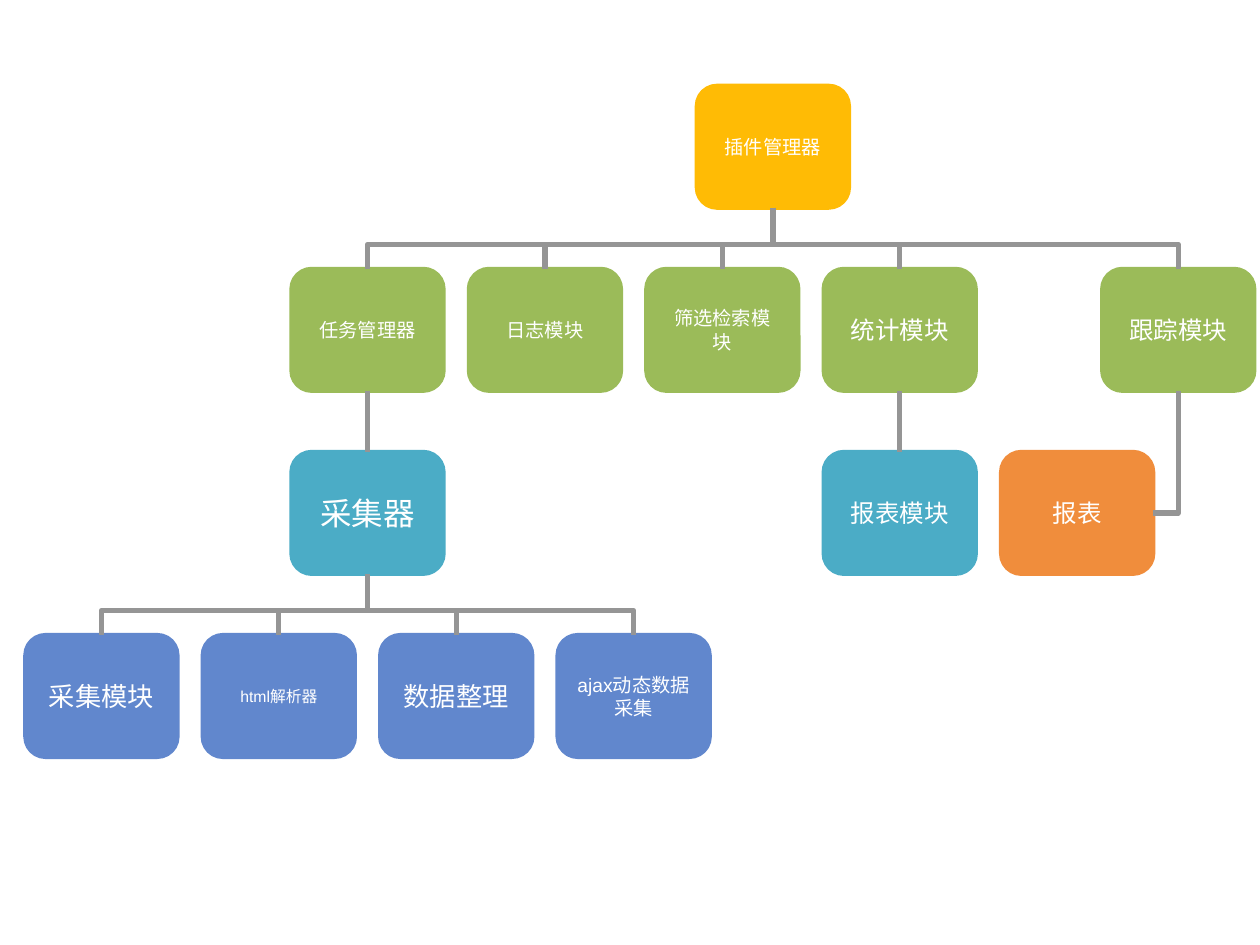
from lxml.etree import SubElement
from pptx import Presentation
from pptx.dml.color import RGBColor
from pptx.enum.shapes import MSO_CONNECTOR, MSO_SHAPE
from pptx.enum.text import MSO_ANCHOR, PP_ALIGN
from pptx.oxml.ns import qn
from pptx.util import Inches, Pt

LEFT, TOP = 0.2, 0.68
COLUMN, ROW = 1.408, 1.453
BOX_WIDTH, BOX_HEIGHT = 1.21, 0.97
GAP = ROW - BOX_HEIGHT
YELLOW, GREEN, TEAL, BLUE, ORANGE = "FFBB05", "9BBB59", "4BACC6", "6187CD", "F08D3C"
GREY, WHITE = "959595", "FFFFFF"


def paint(color_format, color):
    color_format.rgb = RGBColor.from_string(color)


def connect(kind, start, end):
    """Draw a plain grey connector between two points in inches."""
    connector = slide.shapes.add_connector(kind, *(Inches(value) for value in start + end))
    paint(connector.line.color, GREY)
    connector.line.width = Pt(3)
    SubElement(connector._element.spPr, qn("a:effectLst"))
    return connector


presentation = Presentation()
presentation.slide_width, presentation.slide_height = Inches(10), Inches(7.5)
slide = presentation.slides.add_slide(presentation.slide_layouts[6])

# Text, column, row, colour, font size; the root sits midway over its children
last_column = 6.07
modules = [
    ("插件管理器", (1.5 + last_column) / 2, 0, YELLOW, 11),
    ("任务管理器", 1.5, 1, GREEN, 11),
    ("日志模块", 2.5, 1, GREEN, 11),
    ("筛选检索模块", 3.5, 1, GREEN, 11),
    ("统计模块", 4.5, 1, GREEN, 14),
    ("跟踪模块", last_column, 1, GREEN, 14),
    ("采集器", 1.5, 2, TEAL, 18),
    ("报表模块", 4.5, 2, TEAL, 14),
    ("报表", 5.5, 2, ORANGE, 14),
    ("采集模块", 0, 3, BLUE, 15),
    ("html解析器", 1, 3, BLUE, 9),
    ("数据整理", 2, 3, BLUE, 15),
    ("ajax动态数据采集", 3, 3, BLUE, 11),
]
corners = {}
for text, column, row, color, size in modules:
    left, top = LEFT + column * COLUMN, TOP + row * ROW
    corners[text] = left, top
    box = slide.shapes.add_shape(
        MSO_SHAPE.ROUNDED_RECTANGLE,
        Inches(left), Inches(top), Inches(BOX_WIDTH), Inches(BOX_HEIGHT))
    box.adjustments[0] = 0.167
    box.shadow.inherit = False
    box.fill.solid()
    paint(box.fill.fore_color, color)
    paint(box.line.color, color)
    box.line.width = Pt(2.25)
    box.text_frame.word_wrap = True
    box.text_frame.vertical_anchor = MSO_ANCHOR.MIDDLE
    paragraph = box.text_frame.paragraphs[0]
    paragraph.alignment = PP_ALIGN.CENTER
    run = paragraph.add_run()
    run.text = text
    run.font.name = "Arial"
    run.font.size = Pt(size)
    paint(run.font.color, WHITE)

children = {
    "插件管理器": ["任务管理器", "日志模块", "筛选检索模块", "统计模块", "跟踪模块"],
    "任务管理器": ["采集器"],
    "统计模块": ["报表模块"],
    "采集器": ["采集模块", "html解析器", "数据整理", "ajax动态数据采集"],
}
for parent, names in children.items():
    parent_x = corners[parent][0] + BOX_WIDTH / 2
    parent_y = corners[parent][1] + BOX_HEIGHT
    for name in names:
        child_x, child_y = corners[name][0] + BOX_WIDTH / 2, corners[name][1]
        if len(names) == 1:
            connect(MSO_CONNECTOR.STRAIGHT, (parent_x, parent_y), (child_x, child_y))
            continue
        # An elbow runs sideways, so it is laid out lying down and then turned
        side = 1 if child_x > parent_x else -1
        middle_x, middle_y = (parent_x + child_x) / 2, (parent_y + child_y) / 2
        reach = abs(child_x - parent_x) / 2
        elbow = connect(
            MSO_CONNECTOR.ELBOW,
            (middle_x + side * GAP / 2, middle_y - reach),
            (middle_x - side * GAP / 2, middle_y + reach))
        properties = elbow._element.spPr
        properties.find(qn("a:xfrm")).set("rot", "16200000" if side > 0 else "5400000")
        guides = properties.find(qn("a:prstGeom")).find(qn("a:avLst"))
        SubElement(guides, qn("a:gd"), name="adj1", fmla="val 60000")

# The report hangs to the side of the tracking module
report_left, report_top = corners["报表"]
tracking_left, tracking_top = corners["跟踪模块"]
side_elbow = connect(
    MSO_CONNECTOR.ELBOW,
    (report_left + BOX_WIDTH, report_top + BOX_HEIGHT / 2),
    (tracking_left + BOX_WIDTH / 2, tracking_top + BOX_HEIGHT))
side_elbow._element.spPr.find(qn("a:prstGeom")).set("prst", "bentConnector2")

presentation.save("out.pptx")
